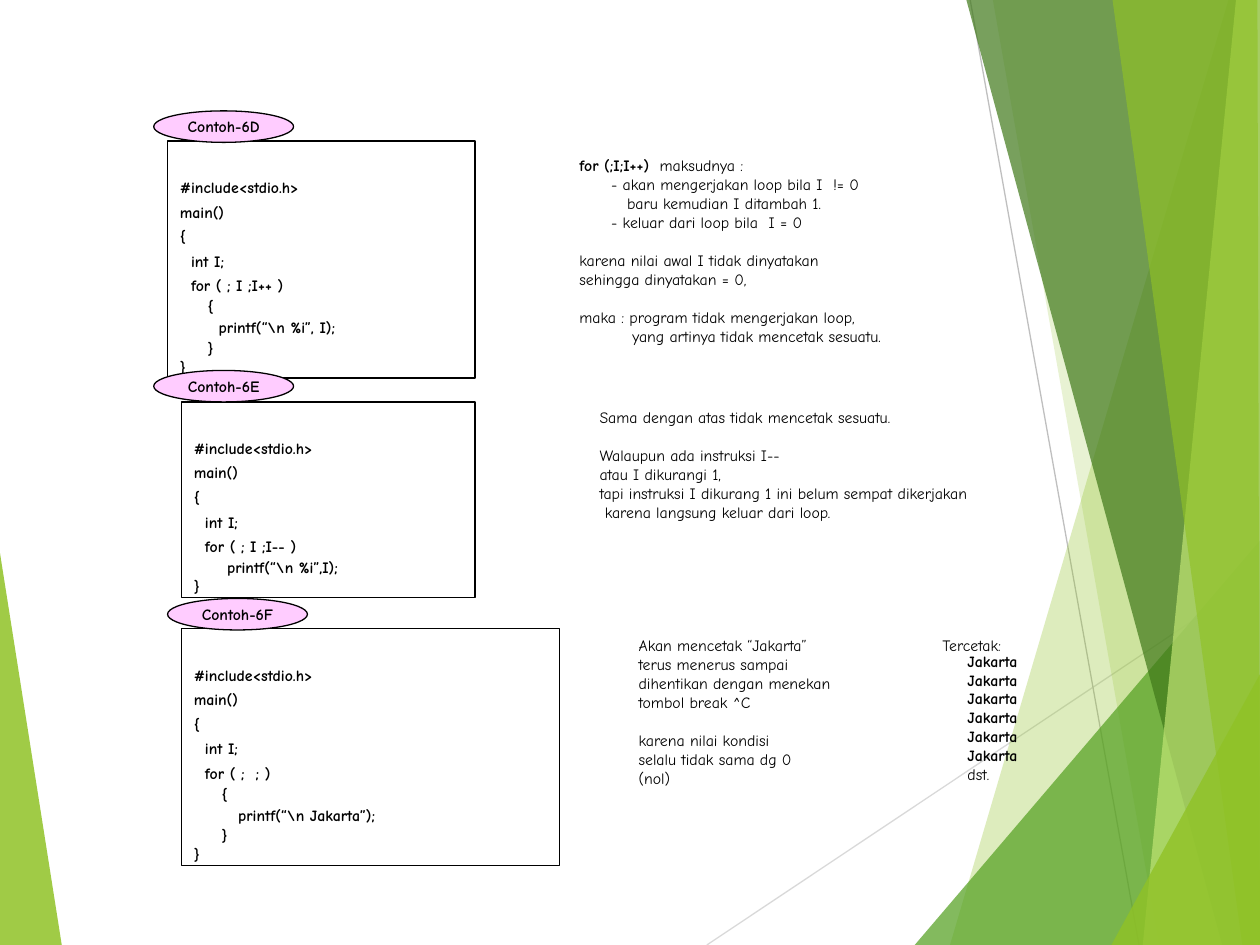
"""Builds a slide of three C for-loop examples with their explanations."""
from dataclasses import dataclass

from lxml.etree import SubElement
from pptx import Presentation
from pptx.dml.color import RGBColor
from pptx.enum.shapes import MSO_CONNECTOR, MSO_SHAPE as SHAPE
from pptx.enum.text import MSO_ANCHOR as ANCHOR, MSO_AUTO_SIZE as AUTO, PP_ALIGN as ALIGN
from pptx.oxml.ns import qn
from pptx.util import Inches, Pt

FONT = "Comic Neue"
BLACK = RGBColor(0x00, 0x00, 0x00)
PINK = RGBColor(0xFF, 0xCC, 0xFF)
LIME = RGBColor(0x90, 0xC2, 0x26)
GREEN = RGBColor(0x54, 0xA0, 0x21)
DARK_GREEN = RGBColor(0x3F, 0x78, 0x19)
PALE_LIME = RGBColor(0xC0, 0xE4, 0x74)
LIGHT_GRAY = RGBColor(0xD9, 0xD9, 0xD9)
GRAY = RGBColor(0xBF, 0xBF, 0xBF)
W, H = 10, 7.5
CODE_COLUMN, NOTE_COLUMN = 0.044, 0.042
BLANK_LINE = Pt(10.85)


@dataclass
class Facet:
    points: list[tuple[float, float]]
    color: RGBColor
    opacity: int


@dataclass
class Ray:
    start: tuple[float, float]
    end: tuple[float, float]
    color: RGBColor


@dataclass
class Line:
    text: str
    column: int = 0
    gap: bool = False
    bold: bool = False
    tail: str = ""


@dataclass
class Example:
    label: str
    label_at: tuple[float, float]
    box: tuple[float, float, float, float]
    loop: list[Line]


@dataclass
class Note:
    box: tuple[float, float, float, float]
    lines: list[Line]


LEFT_FACET = Facet([(0, 4.39), (0.49, H), (0, H)], LIME, 85)
RAYS = [
    Ray((5.61, H), (W, 4.57), LIGHT_GRAY),
    Ray((7.7, 0), (9.04, H), GRAY),
]
RIGHT_FACETS = [
    Facet([(9.75, 0), (7.54, H), (W, H), (W, 0)], LIME, 30),
    Facet([(7.88, 0), (9.2, H), (W, H), (W, 0)], LIME, 20),
    Facet([(7.26, H), (W, 4.29), (W, H)], GREEN, 72),
    Facet([(7.67, 0), (9.7, H), (W, H), (W, 0)], DARK_GREEN, 70),
    Facet([(9.81, 0), (9.07, H), (W, H), (W, 0)], PALE_LIME, 70),
    Facet([(8.83, 0), (9.86, H), (W, H), (9.98, 0)], LIME, 65),
    Facet([(8.82, H), (W, 5.35), (W, H)], LIME, 80),
]
HEADER = [Line("#include<stdio.h>"), Line("main()"), Line("{"), Line("int I;", 2)]
EXAMPLES = [
    Example("Contoh-6D", (1.22, 0.88), (1.33, 1.12, 2.44, 1.88), [
        Line("for ( ; I ;I++ )", 2), Line("{", 5),
        Line("printf(“\\n %i”, I);", 7), Line("}", 5)]),
    Example("Contoh-6E", (1.22, 2.94), (1.44, 3.19, 2.33, 1.55), [
        Line("for ( ; I ;I-- )", 2), Line("printf(“\\n %i”,I);", 6)]),
    Example("Contoh-6F", (1.33, 4.75), (1.44, 4.99, 3, 1.88), [
        Line("for ( ;  ; )", 2), Line("{", 5),
        Line("printf(“\\n Jakarta”);", 8), Line("}", 5)]),
]
NOTES = [
    Note((4.5, 1.19, 2.59, 1.61), [
        Line("for (;I;I++)", bold=True, tail="  maksudnya :"),
        Line("- akan mengerjakan loop bila I  != 0", 6),
        Line("baru kemudian I ditambah 1.", 9),
        Line("- keluar dari loop bila  I = 0", 6),
        Line("karena nilai awal I tidak dinyatakan", gap=True),
        Line("sehingga dinyatakan = 0,"),
        Line("maka : program tidak mengerjakan loop,", gap=True),
        Line("yang artinya tidak mencetak sesuatu.", 10)]),
    Note((4.66, 3.19, 3.12, 1.01), [
        Line("Sama dengan atas tidak mencetak sesuatu."),
        Line("Walaupun ada instruksi I--", gap=True),
        Line("atau I dikurangi 1,"),
        Line("tapi instruksi I dikurang 1 ini belum sempat dikerjakan"),
        Line("karena langsung keluar dari loop.", 1)]),
    Note((4.97, 5, 1.72, 1.31), [
        Line("Akan mencetak “Jakarta”"),
        Line("terus menerus sampai"),
        Line("dihentikan dengan menekan"),
        Line("tombol break ^C"),
        Line("karena nilai kondisi", gap=True),
        Line("selalu tidak sama dg 0"),
        Line("(nol)")]),
    Note((7.38, 5, 0.68, 0.25), [Line("Tercetak:")]),
    Note((7.58, 5.12, 0.6, 1.16), [Line("Jakarta", bold=True)] * 6 + [Line("dst.")]),
]


def draw_facet(slide, facet: Facet) -> None:
    points = [(Inches(x), Inches(y)) for x, y in facet.points]
    builder = slide.shapes.build_freeform(*points[0])
    builder.add_line_segments(points[1:], close=True)
    sp = builder.convert_to_shape()
    sp.shadow.inherit = False
    sp.line.fill.background()
    sp.fill.solid()
    sp.fill.fore_color.rgb = facet.color
    color = sp._element.spPr.find(".//" + qn("a:srgbClr"))
    SubElement(color, qn("a:alpha")).set("val", str(facet.opacity * 1000))


def draw_ray(slide, ray: Ray) -> None:
    ends = [Inches(v) for v in ray.start + ray.end]
    cxn = slide.shapes.add_connector(MSO_CONNECTOR.STRAIGHT, *ends)
    cxn.line.color.rgb = ray.color
    cxn.line.width = Pt(0.75)
    SubElement(cxn._element.spPr, qn("a:effectLst"))


def style_run(r, bold: bool) -> None:
    r.font.name = FONT
    r.font.size = Pt(9)
    r.font.bold = bold
    r.font.color.rgb = BLACK


def write_lines(tf, lines: list[Line], column_width: float) -> None:
    for i, line in enumerate(lines):
        p = tf.add_paragraph() if i else tf.paragraphs[0]
        p.text = line.text
        p.alignment = ALIGN.LEFT
        style_run(p.runs[0], line.bold)
        if line.tail:
            r = p.add_run()
            r.text = line.tail
            style_run(r, False)
        if line.column:
            p._p.get_or_add_pPr().set("marL", str(Inches(line.column * column_width)))
        if line.gap:
            p.space_before = BLANK_LINE


def add_outlined(slide, kind: SHAPE, box: tuple[float, float, float, float]):
    sp = slide.shapes.add_shape(kind, *[Inches(v) for v in box])
    sp.shadow.inherit = False
    sp.fill.background()
    sp.line.color.rgb = BLACK
    sp.line.width = Pt(0.75)
    return sp


def draw_example(slide, example: Example) -> None:
    tf = add_outlined(slide, SHAPE.RECTANGLE, example.box).text_frame
    tf.vertical_anchor = ANCHOR.TOP
    tf.margin_top = Inches(0.245)
    code = [Line(c.text, c.column, bold=True) for c in HEADER + example.loop + [Line("}")]]
    write_lines(tf, code, CODE_COLUMN)
    loose = len(HEADER) + 1
    for i, p in enumerate(tf.paragraphs[:-1]):
        p.line_spacing = 1.3 if i < loose else 1.1

    sp = add_outlined(slide, SHAPE.OVAL, example.label_at + (1.11, 0.25))
    sp.fill.solid()
    sp.fill.fore_color.rgb = PINK
    tf = sp.text_frame
    tf.word_wrap = False
    tf.vertical_anchor = ANCHOR.MIDDLE
    tf.text = example.label
    tf.paragraphs[0].alignment = ALIGN.CENTER
    style_run(tf.paragraphs[0].runs[0], True)


def draw_note(slide, note: Note) -> None:
    tf = slide.shapes.add_textbox(*[Inches(v) for v in note.box]).text_frame
    tf.word_wrap = False
    tf.auto_size = AUTO.SHAPE_TO_FIT_TEXT
    write_lines(tf, note.lines, NOTE_COLUMN)


def main() -> None:
    prs = Presentation()
    prs.slide_width, prs.slide_height = Inches(W), Inches(H)
    s = prs.slides.add_slide(prs.slide_layouts[6])
    draw_facet(s, LEFT_FACET)
    for ray in RAYS:
        draw_ray(s, ray)
    for facet in RIGHT_FACETS:
        draw_facet(s, facet)
    for example in EXAMPLES:
        draw_example(s, example)
    for note in NOTES:
        draw_note(s, note)
    prs.save("out.pptx")


if __name__ == "__main__":
    main()
